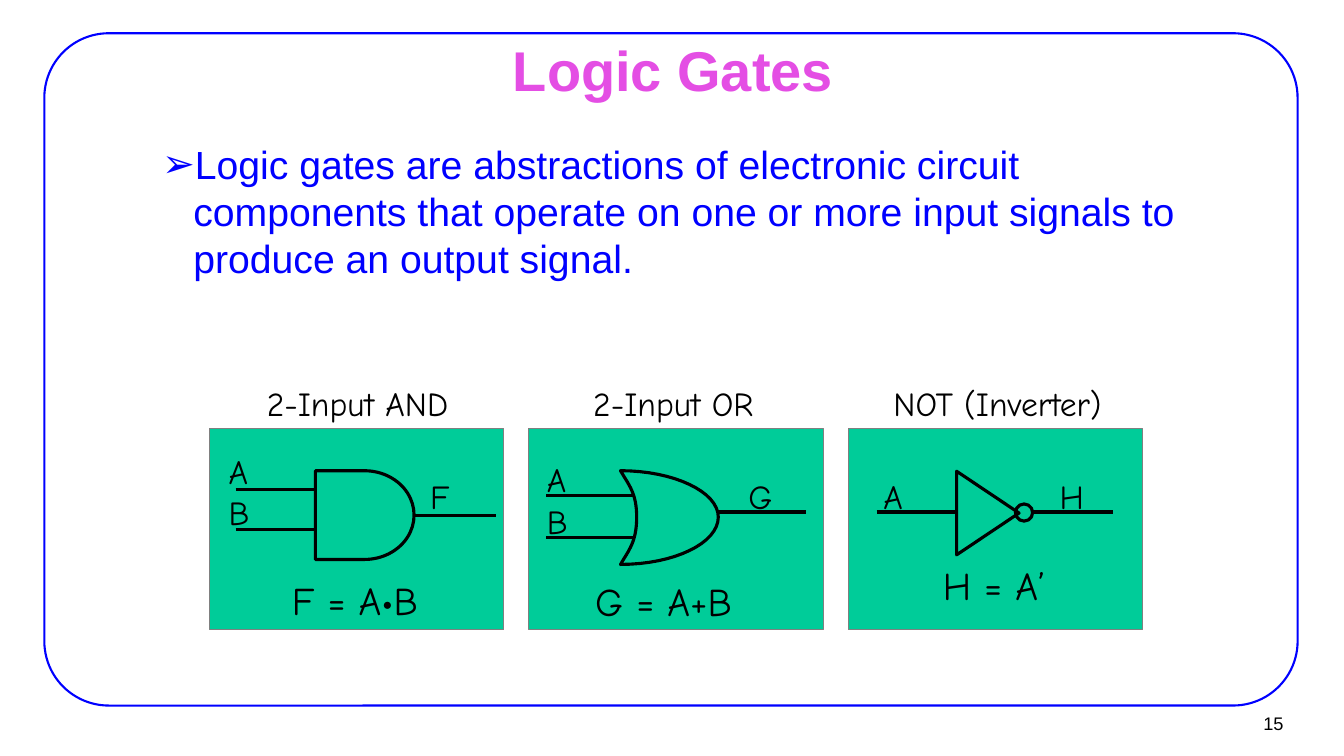
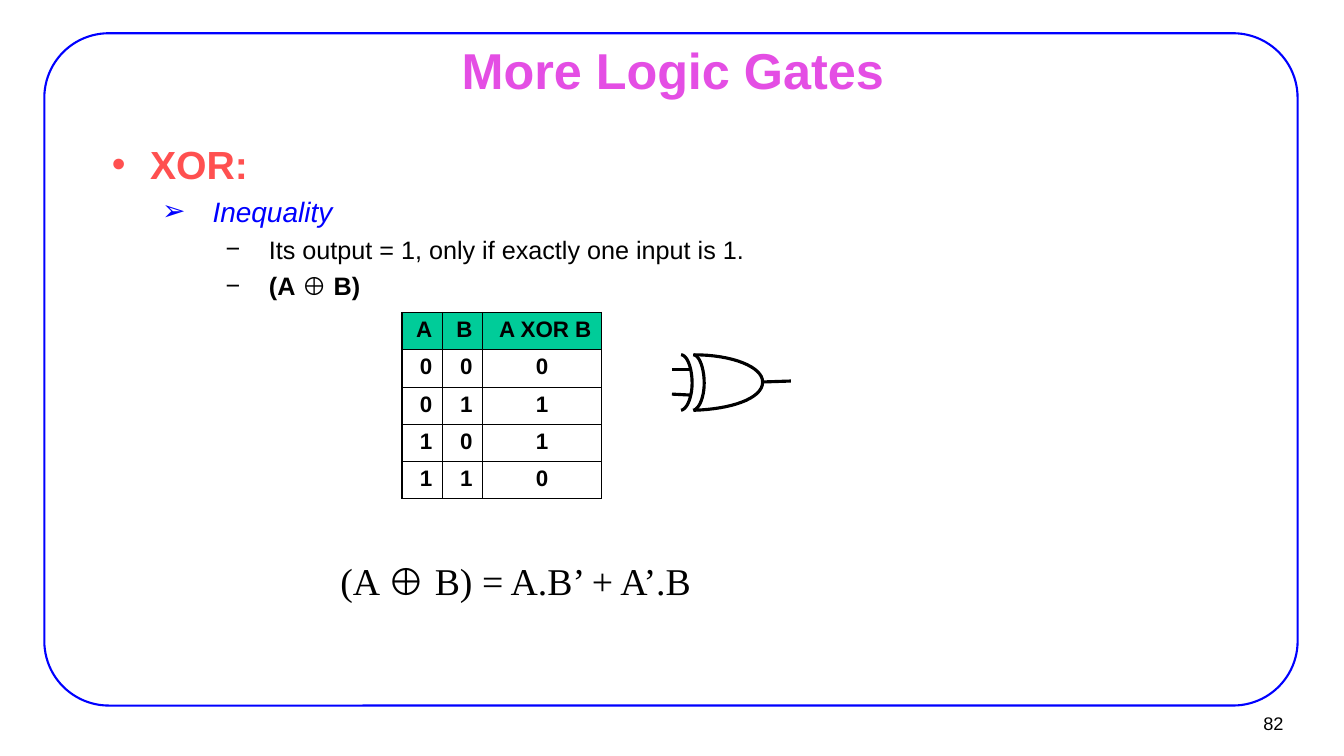
from dataclasses import dataclass, field
from typing import Any

from lxml import etree
from pptx import Presentation
from pptx import util as u
from pptx.dml.color import RGBColor
from pptx.enum import shapes, text
from pptx.oxml import ns

PX = 9144
BLACK, BLUE, PINK, CORAL = "000000", "0000FF", "E44EE4", "FF5050"
GREEN, GREY = "00CC99", "808080"
ARIAL, COMIC, TIMES = "Arial", "Comic Neue", "Times New Roman"
LEFT, CENTER, RIGHT = text.PP_ALIGN.LEFT, text.PP_ALIGN.CENTER, text.PP_ALIGN.RIGHT
STROKE = 2.25
PANEL_LEFT, PANEL_TOP, PANEL_W, PANEL_H, PANEL_STEP = 208, 425, 292, 200, 317

Point = tuple[int, int]
Box = tuple[int, int, int, int]


@dataclass(frozen=True)
class Run:
    words: str
    size: float
    color: str = BLACK
    name: str = ARIAL
    bold: bool = False
    italic: bool = False


@dataclass(frozen=True)
class Para:
    runs: list[Run]
    align: Any = LEFT
    before: float = 0
    bullet: str = ""
    margin: int = 0
    hang: int = 0


@dataclass(frozen=True)
class Label:
    words: str
    left: int
    top: int
    width: int = 50
    size: int = 24


@dataclass(frozen=True)
class Curve:
    start: Point
    beziers: list[tuple[Point, Point, Point]]
    closed: bool = False


@dataclass(frozen=True)
class Gate:
    labels: list[Label]
    wires: list[Box]
    presets: list[tuple[Any, Box, int]] = field(default_factory=list)
    curves: list[Curve] = field(default_factory=list)


AND_GATE = Gate(
    labels=[Label("2-Input AND", 255, 375, 210), Label("A", 217, 442), Label("B", 217, 483),
            Label("F", 417, 467), Label("F = A•B", 280, 567, 160, 28)],
    wires=[(234, 486, 313, 486), (234, 525, 313, 525)],
)
OR_GATE = Gate(
    labels=[Label("2-Input OR", 579, 375, 200), Label("A", 533, 450), Label("B", 533, 492),
            Label("G", 733, 467), Label("G = A+B", 581, 568, 170, 28)],
    wires=[(542, 492, 629, 492), (542, 533, 629, 533), (713, 508, 800, 508)],
    curves=[Curve((616, 467), [((624, 481), (632, 489), (632, 513)),
                               ((632, 538), (624, 546), (616, 560)),
                               ((669, 560), (713, 539), (713, 513)),
                               ((713, 488), (669, 467), (616, 467))], closed=True)],
)
NOT_GATE = Gate(
    labels=[Label("NOT (Inverter)", 877, 375, 240), Label("A", 867, 467),
            Label("H", 1042, 467), Label("H = A’", 926, 552, 140, 28)],
    wires=[(870, 508, 950, 508), (1025, 508, 1105, 508)],
    presets=[(shapes.MSO_SHAPE.ISOSCELES_TRIANGLE, (939, 478, 83, 62), 90),
             (shapes.MSO_SHAPE.OVAL, (1008, 500, 17, 17), 0)],
)


def back_arc(left: int) -> Curve:
    return Curve((left, 352), [((left + 6, 352), (left + 11, 365), (left + 11, 380)),
                               ((left + 11, 394), (left + 6, 406), (left, 407))])


XOR_GATE = Gate(
    labels=[],
    wires=[(667, 391, 686, 392), (667, 367, 686, 367), (756, 379, 785, 378)],
    curves=[back_arc(676), back_arc(688),
            Curve((689, 352), [((727, 352), (757, 364), (757, 379)),
                               ((757, 396), (724, 406), (689, 407))])],
)


def px(length: float) -> u.Emu:
    return u.Emu(round(length * PX))


def ink(code: str) -> RGBColor:
    return RGBColor.from_string(code)


def assign(target: Any, values: dict[str, Any]) -> None:
    for name, value in values.items():
        setattr(target, name, value)


def outline(shape: Any, color: str = BLACK, width: float = STROKE, fill: str = "") -> None:
    shape.shadow.inherit = False
    if fill:
        shape.fill.solid()
        shape.fill.fore_color.rgb = ink(fill)
    else:
        shape.fill.background()
    shape.line.color.rgb = ink(color)
    shape.line.width = u.Pt(width)


def preset(slide: Any, kind: Any, box: Box) -> Any:
    return slide.shapes.add_shape(kind, *map(px, box))


def wire(slide: Any, ends: Box) -> Any:
    line = slide.shapes.add_connector(shapes.MSO_CONNECTOR.STRAIGHT, *map(px, ends))
    line.line.color.rgb = ink(BLACK)
    line.line.width = u.Pt(STROKE)
    etree.SubElement(line._element.spPr, ns.qn("a:effectLst"))
    return line


def draw_curve(slide: Any, curve: Curve, steps: int = 16) -> None:
    points, start = [], curve.start
    for first, second, end in curve.beziers:
        for step in range(1, steps + 1):
            t = step / steps
            weights = ((1 - t) ** 3, 3 * t * (1 - t) ** 2, 3 * t * t * (1 - t), t ** 3)
            knots = (start, first, second, end)
            points.append(tuple(px(sum(w * k[axis] for w, k in zip(weights, knots)))
                                for axis in (0, 1)))
        start = end
    builder = slide.shapes.build_freeform(*map(px, curve.start))
    builder.add_line_segments(points, close=curve.closed)
    outline(builder.convert_to_shape())


def add_bullet(paragraph: Any, para: Para) -> None:
    props = paragraph._p.get_or_add_pPr()
    props.set("marL", str(px(para.margin)))
    props.set("indent", str(px(-para.hang)))
    tint = etree.SubElement(props, ns.qn("a:buClr"))
    etree.SubElement(tint, ns.qn("a:srgbClr"), val=para.runs[0].color)
    etree.SubElement(props, ns.qn("a:buFont"), typeface=ARIAL)
    etree.SubElement(props, ns.qn("a:buChar"), char=para.bullet)


def write(frame: Any, paras: list[Para]) -> None:
    for index, para in enumerate(paras):
        paragraph = frame.add_paragraph() if index else frame.paragraphs[0]
        assign(paragraph, {"alignment": para.align, "space_before": u.Pt(para.before)})
        if para.bullet:
            add_bullet(paragraph, para)
        for part in para.runs:
            run = paragraph.add_run()
            run.text = part.words
            assign(run.font, {"name": part.name, "size": u.Pt(part.size),
                              "bold": part.bold, "italic": part.italic})
            run.font.color.rgb = ink(part.color)


def text_box(slide: Any, box: Box, paras: list[Para], inset: Point = (10, 5),
             anchor: Any = text.MSO_ANCHOR.TOP) -> None:
    frame = slide.shapes.add_textbox(*map(px, box)).text_frame
    side, edge = map(px, inset)
    assign(frame, {"word_wrap": True, "vertical_anchor": anchor, "margin_left": side,
                   "margin_right": side, "margin_top": edge, "margin_bottom": edge})
    write(frame, paras)


def draw_gate(slide: Any, gate: Gate) -> None:
    for kind, box, turn in gate.presets:
        symbol = preset(slide, kind, box)
        symbol.rotation = turn
        outline(symbol)
    for curve in gate.curves:
        draw_curve(slide, curve)
    for ends in gate.wires:
        wire(slide, ends)
    for label in gate.labels:
        height = 50 if label.size == 24 else 57
        text_box(slide, (label.left, label.top, label.width, height),
                 [Para([Run(label.words, label.size, name=COMIC)])])


def new_slide(deck: Any, title: str, size: int, number: str, body: list[Para]) -> Any:
    slide = deck.slides.add_slide(deck.slide_layouts[6])
    border = preset(slide, shapes.MSO_SHAPE.ROUNDED_RECTANGLE, (44, 33, 1244, 667))
    border.adjustments[0] = 0.096
    outline(border, BLUE, 1.5)
    middle = text.MSO_ANCHOR.MIDDLE
    text_box(slide, (1202, 699, 81, 37), [Para([Run(number, 13)], RIGHT)], (9, 4), middle)
    text_box(slide, (101, 44, 1134, 49),
             [Para([Run(title, size, PINK, bold=True)], CENTER)], (11, 6), middle)
    text_box(slide, (100, 133, 1133, 508), body, (11, 6))
    return slide


def set_borders(cell: Any, outer: dict[str, bool]) -> None:
    props = cell._tc.get_or_add_tcPr()
    for side, thick in outer.items():
        edge = etree.SubElement(props, ns.qn(f"a:{side}"), w=str(u.Pt(1.08 if thick else 0.45)))
        paint = etree.SubElement(edge, ns.qn("a:solidFill"))
        etree.SubElement(paint, ns.qn("a:srgbClr"), val=BLACK)


def truth_table(slide: Any, rows: list[tuple[str, ...]], widths: list[int], row_h: int) -> None:
    last_row, last_col = len(rows) - 1, len(widths) - 1
    box = (399, 310, sum(widths), row_h * len(rows))
    table = slide.shapes.add_table(len(rows), len(widths), *map(px, box)).table
    assign(table, {"first_row": False, "horz_banding": False})
    for column, width in zip(table.columns, widths):
        column.width = px(width)
    for r, row in enumerate(rows):
        for c, value in enumerate(row):
            cell = table.cell(r, c)
            set_borders(cell, {"lnL": c == 0, "lnR": c == last_col,
                               "lnT": r == 0, "lnB": r == last_row})
            if r == 0:
                cell.fill.solid()
                cell.fill.fore_color.rgb = ink(GREEN)
            else:
                cell.fill.background()
            align = CENTER if r and c == last_col else RIGHT
            write(cell.text_frame, [Para([Run(value, 16, bold=True)], align, 4)])


def logic_gates(deck: Any) -> None:
    definition = ("Logic gates are abstractions of electronic circuit components that operate "
                  "on one or more input signals to produce an output signal.")
    slide = new_slide(deck, "Logic Gates", 40, "15",
                      [Para([Run(definition, 28, BLUE)], LEFT, 7, "➢", 81, 31)])
    for index, gate in enumerate((AND_GATE, OR_GATE, NOT_GATE)):
        left = PANEL_LEFT + index * PANEL_STEP
        panel = preset(slide, shapes.MSO_SHAPE.RECTANGLE, (left, PANEL_TOP, PANEL_W, PANEL_H))
        outline(panel, GREY, 0.75, GREEN)
        draw_gate(slide, gate)
    and_body = preset(slide, shapes.MSO_SHAPE.FLOWCHART_DELAY, (313, 467, 98, 88))
    outline(and_body)
    wire(slide, (411, 511, 492, 511)).begin_connect(and_body, 3)


def more_logic_gates(deck: Any) -> None:
    slide = new_slide(deck, "More Logic Gates", 36, "82", [
        Para([Run("XOR:", 28, CORAL, bold=True)], LEFT, 7, "•", 38, 38),
        Para([Run("Inequality", 20, BLUE, italic=True)], LEFT, 5, "➢", 100, 50),
        Para([Run("Its output = 1, only if exactly one input is 1.", 18)],
             LEFT, 4.5, "−", 156, 43),
        Para([Run("(A ", 18, bold=True), Run("⊕", 18), Run(" B)", 18, bold=True)],
             LEFT, 4.5, "−", 156, 43),
    ])
    inputs = [(a, b) for a in (0, 1) for b in (0, 1)]
    truth_table(slide, [("A", "B", "A XOR B")] + [(str(a), str(b), str(a ^ b)) for a, b in inputs],
                [40, 40, 118], 37)
    draw_gate(slide, XOR_GATE)
    text_box(slide, (328, 548, 400, 100),
             [Para([Run("(A ", 27, name=TIMES), Run("⊕", 27, bold=True),
                    Run(" B) = A.B’ + A’.B", 27, name=TIMES)])])


def main() -> None:
    deck = Presentation()
    assign(deck, {"slide_width": px(1334), "slide_height": px(750)})
    logic_gates(deck)
    more_logic_gates(deck)
    deck.save("out.pptx")


if __name__ == "__main__":
    main()
